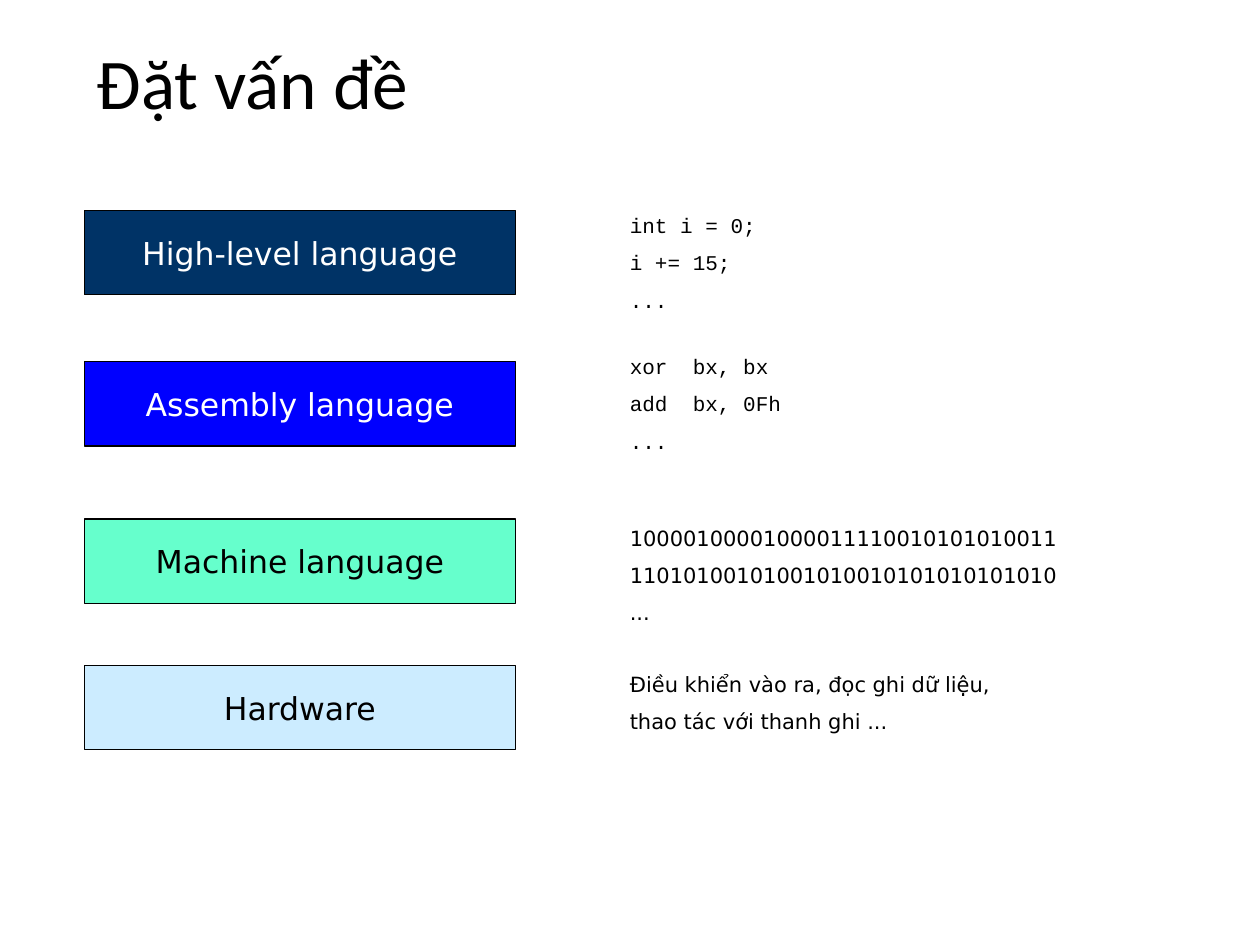
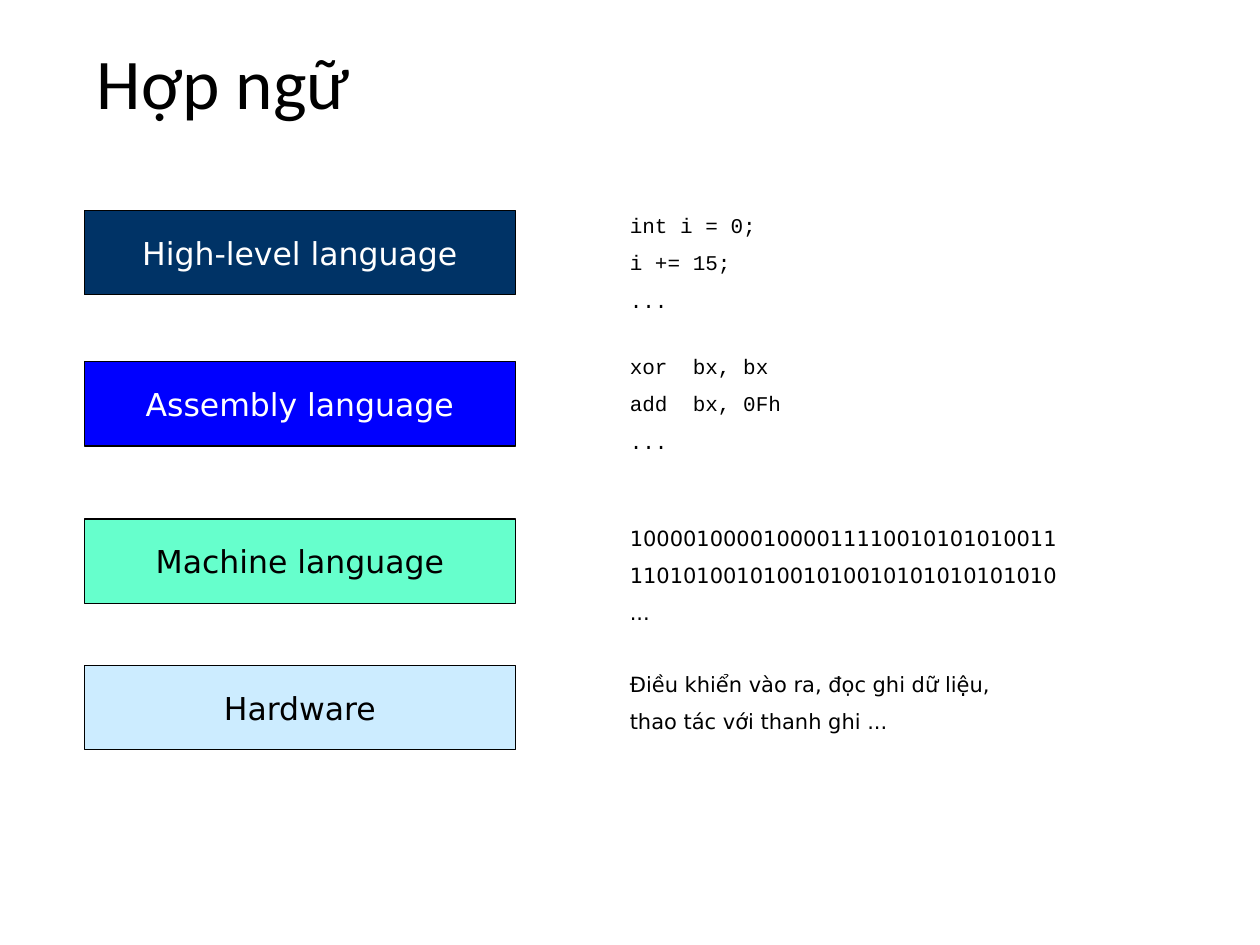
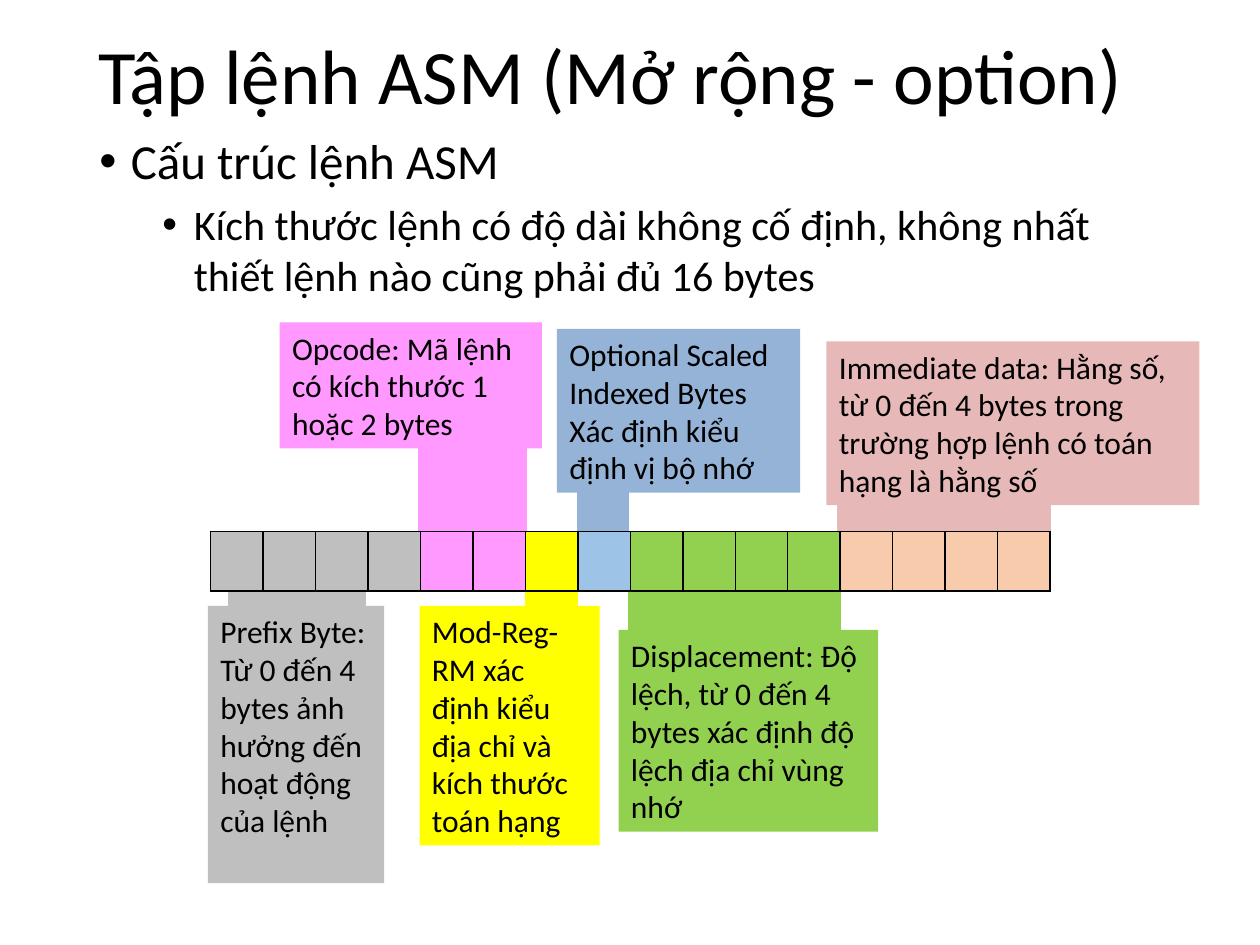
from lxml import etree
from pptx import Presentation
from pptx.dml.color import RGBColor
from pptx.enum.shapes import MSO_SHAPE
from pptx.enum.text import MSO_ANCHOR, PP_ALIGN
from pptx.oxml.ns import qn
from pptx.util import Emu, Pt

RECTANGLE = MSO_SHAPE.RECTANGLE
TOP, MIDDLE = MSO_ANCHOR.TOP, MSO_ANCHOR.MIDDLE
LEFT, CENTER = PP_ALIGN.LEFT, PP_ALIGN.CENTER

EMU_PER_PX = 9144  # 100 px to the inch
BLANK_LAYOUT = 6
BODY, CODE, LABEL = "Calibri", "Courier New", "DejaVu Sans"
COLORS = {
    "black": "000000", "white": "FFFFFF",
    "navy": "003366", "blue": "0000FF", "mint": "66FFCC", "sky": "CCECFF",
    "gray": "BFBFBF", "pink": "FF99FF", "yellow": "FFFF00", "steel": "95B3D7",
    "light blue": "9DC3E6", "green": "92D050", "rose": "E6B9B8", "peach": "F8CBAD",
}

# name, fill, text colour, box top, example top, example height, font, example lines
LEVELS = [
    ("High-level language", "navy", "white", 167, 164, 86, CODE,
     ["int i = 0;", "i += 15;", "..."]),
    ("Assembly language", "blue", "white", 287, 276, 86, CODE,
     ["xor\tbx, bx", "add\tbx, 0Fh", "..."]),
    ("Machine language", "mint", "black", 412, 412, 86, LABEL,
     ["10000100001000011110010101010011", "11010100101001010010101010101010", "..."]),
    ("Hardware", "sky", "black", 528, 528, 58, LABEL,
     ["Điều khiển vào ra, đọc ghi dữ liệu,", "thao tác với thanh ghi ..."]),
]

# bytes, cell fill, callout fill, band from cell to callout, callout, callout lines
FIELDS = [
    (4, "gray", "gray", (182, 448, 107, 33), (165, 481, 140, 220),
     ["Prefix Byte:", "Từ 0 đến 4 bytes ảnh hưởng đến hoạt động của lệnh"]),
    (2, "pink", "pink", (333, 327, 84, 116), (222, 256, 208, 100),
     ["Opcode: Mã lệnh có kích thước 1 hoặc 2 bytes"]),
    (1, "yellow", "yellow", (418, 442, 39, 52), (333, 481, 143, 190),
     ["Mod-Reg-RM xác định kiểu địa chỉ và kích thước toán hạng"]),
    (1, "light blue", "steel", (459, 388, 39, 58), (442, 261, 193, 130),
     ["Optional Scaled Indexed Bytes", "Xác định kiểu định vị bộ nhớ"]),
    (4, "green", "green", (500, 442, 166, 70), (491, 500, 206, 160),
     ["Displacement: Độ lệch, từ 0 đến 4 bytes xác định độ lệch địa chỉ vùng nhớ"]),
    (4, "peach", "rose", (666, 372, 167, 76), (656, 271, 296, 130),
     ["Immediate data: Hằng số, từ 0 đến 4 bytes trong trường hợp lệnh "
      "có toán hạng là hằng số"]),
]


def px(*lengths):
    return [Emu(length * EMU_PER_PX) for length in lengths]


def rgb(color):
    return RGBColor.from_string(COLORS[color])


class Deck:
    def __init__(self):
        self.prs = Presentation()
        self.prs.slide_width, self.prs.slide_height = px(1000, 750)
        self.slide = None

    def new_slide(self):
        layout = self.prs.slide_layouts[BLANK_LAYOUT]
        self.slide = self.prs.slides.add_slide(layout)

    def fill_text(self, shape, lines, size, font=BODY, color="black", align=LEFT,
                  anchor=TOP, wrap=True, line_spacing=None, gap=0):
        """Fill a shape with one paragraph per line; gap is the space between them."""
        frame = shape.text_frame
        frame.word_wrap = wrap
        frame.vertical_anchor = anchor
        for index, line in enumerate(lines):
            paragraph = frame.paragraphs[0] if index == 0 else frame.add_paragraph()
            paragraph.alignment = align
            if line_spacing:
                paragraph.line_spacing = line_spacing
            if index:
                paragraph.space_before = Pt(gap)
            self.add_run(paragraph, line, size, font, color)

    def add_run(self, paragraph, text, size, font=BODY, color="black"):
        run = paragraph.add_run()
        run.text = text
        run.font.size = Pt(size)
        run.font.name = font
        run.font.color.rgb = rgb(color)

    def text(self, area, lines, size, **style):
        box = self.slide.shapes.add_textbox(*px(*area))
        self.fill_text(box, lines, size, **style)
        return box

    def rect(self, area, fill, line=None, weight=0.75):
        box = self.slide.shapes.add_shape(RECTANGLE, *px(*area))
        box.shadow.inherit = False
        box.fill.solid()
        box.fill.fore_color.rgb = rgb(fill)
        if line:
            box.line.color.rgb = rgb(line)
            box.line.width = Pt(weight)
        else:
            box.line.fill.background()
        return box

    def title(self, text, area, size, line_spacing, bottom_inset=5):
        box = self.text(area, [text], size, anchor=MIDDLE, line_spacing=line_spacing)
        box.text_frame.margin_bottom = px(bottom_inset)[0]

    def bullets(self, area, items):
        """Items are (text, size, level, left margin in px, line spacing, space before)."""
        frame = self.slide.shapes.add_textbox(*px(*area)).text_frame
        frame.word_wrap = True
        for index, (text, size, level, margin, spacing, before) in enumerate(items):
            paragraph = frame.paragraphs[0] if index == 0 else frame.add_paragraph()
            paragraph.level = level
            paragraph.line_spacing = spacing
            paragraph.space_before = Pt(before)
            props = paragraph._p.get_or_add_pPr()
            left, hanging = px(margin, -25)
            props.set("marL", str(left))
            props.set("indent", str(hanging))
            etree.SubElement(props, qn("a:buFont"), typeface="Arial")
            etree.SubElement(props, qn("a:buChar"), char="•")
            self.add_run(paragraph, text, size)

    def cell_strip(self, area, fills):
        """Draw a one-row table with one empty, bordered cell per fill."""
        table = self.slide.shapes.add_table(1, len(fills), *px(*area)).table
        table.first_row = table.horz_banding = False
        for cell, fill in zip(table.rows[0].cells, fills):
            props = cell._tc.get_or_add_tcPr()
            for side in ("a:lnL", "a:lnR", "a:lnT", "a:lnB"):
                border = etree.SubElement(props, qn(side), w=str(Pt(0.96)))
                paint = etree.SubElement(border, qn("a:solidFill"))
                etree.SubElement(paint, qn("a:srgbClr"), val=COLORS["black"])
            cell.fill.solid()
            cell.fill.fore_color.rgb = rgb(fill)


def language_levels(deck, title):
    deck.new_slide()
    deck.title(title, (67, 40, 864, 113), 40.7, 0.7, bottom_inset=53)
    for name, fill, color, top, example_top, height, font, example in LEVELS:
        box = deck.rect((67, top, 342, 67), fill, "black")
        deck.fill_text(box, [name], 18, font=LABEL, color=color, align=CENTER,
                       anchor=MIDDLE, wrap=False)
        deck.text((490, example_top, 442, height), example, 12, font=font, gap=6.8)


def instruction_format(deck):
    deck.new_slide()
    for _, _, fill, band, _, _ in FIELDS:
        deck.rect(band, fill, fill, 2)
    deck.title("Tập lệnh ASM (Mở rộng - option)", (68, -9, 862, 145), 44, 0.9)
    deck.bullets((69, 104, 862, 476), [
        ("Cấu trúc lệnh ASM", 28, 0, 25, 0.9, 0),
        ("Kích thước lệnh có độ dài không cố định, không nhất thiết lệnh nào "
         "cũng phải đủ 16 bytes", 24, 1, 75, 1.0, 5),
    ])
    cell_fills = [fill for count, fill, *_ in FIELDS for _ in range(count)]
    deck.cell_strip((167, 422, 667, 47), cell_fills)
    for _, _, fill, _, callout, lines in FIELDS:
        deck.fill_text(deck.rect(callout, fill), lines, 18)


def main():
    deck = Deck()
    for title in ("Đặt vấn đề", "Hợp ngữ"):
        language_levels(deck, title)
    instruction_format(deck)
    deck.prs.save("out.pptx")


if __name__ == "__main__":
    main()
